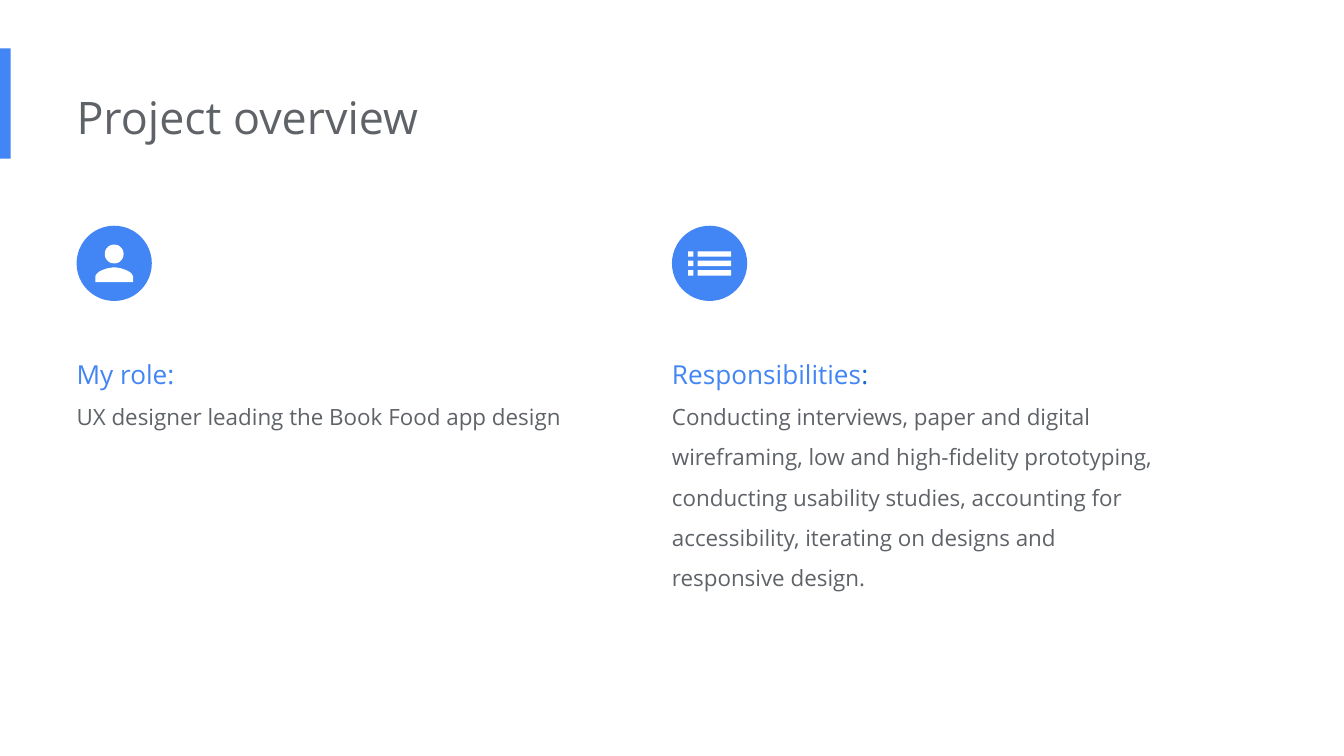
"""Build the project overview slide with two icon-topped columns."""
from math import cos, sin, tau

from pptx import Presentation
from pptx.dml.color import RGBColor
from pptx.enum.shapes import MSO_SHAPE
from pptx.util import Inches, Pt

RECTANGLE, OVAL = MSO_SHAPE.RECTANGLE, MSO_SHAPE.OVAL
COLORS = {"blue": "4285F4", "dark_blue": "1967D2", "gray": "5F6368", "white": "FFFFFF"}
FONT = "Open Sans"
WIDTH = 10
HEIGHT = WIDTH * 9 / 16
MARGIN, COLUMN_WIDTH = 0.57, 3.77
COLUMN_STEP = WIDTH / 2 - MARGIN
BADGE_TOP, BADGE_SIZE, BODY_TOP = 1.68, 0.56, 2.45
UNITS_PER_INCH = 1000

TITLE = "Project overview"
COLUMNS = [
    {
        "icon": "person",
        "heading": [("My role:", "blue")],
        "body": "UX designer leading the Book Food app design",
        "height": 0.86,
    },
    {
        "icon": "list",
        "heading": [("Responsibilities", "blue"), (":", "dark_blue")],
        "body": "Conducting interviews, paper and digital wireframing, low and "
                "high-fidelity prototyping, conducting usability studies, accounting "
                "for accessibility, iterating on designs and responsive design.",
        "height": 1.97,
    },
]


def color(name):
    return RGBColor.from_string(COLORS[name])


def paint(shape, fill):
    shape.shadow.inherit = False
    shape.fill.solid()
    shape.fill.fore_color.rgb = color(fill)
    shape.line.fill.background()


def add_block(slide, kind, left, top, width, height):
    block = slide.shapes.add_shape(
        kind, Inches(left), Inches(top), Inches(width), Inches(height))
    paint(block, "blue")


def add_text(slide, paragraphs, *, left, top, width, height, spacing=None):
    box = slide.shapes.add_textbox(
        Inches(left), Inches(top), Inches(width), Inches(height))
    frame = box.text_frame
    frame.word_wrap = True
    frame.margin_left = 0
    frame.margin_top = frame.margin_right = frame.margin_bottom = Inches(0.1)
    for index, (size, pieces) in enumerate(paragraphs):
        paragraph = frame.add_paragraph() if index else frame.paragraphs[0]
        paragraph.line_spacing = spacing
        for words, ink in pieces:
            run = paragraph.add_run()
            run.text = words
            run.font.name = FONT
            run.font.size = Pt(size)
            run.font.color.rgb = color(ink)


def person_outlines():
    head = [(0.07 * cos(tau * i / 48), -0.07 + 0.07 * sin(tau * i / 48))
            for i in range(48)]
    shoulder = []
    for i in range(17):
        t = i / 16
        u = 1 - t
        shoulder.append((3 * u * u * t * 0.05 + (3 * u * t * t + t ** 3) * 0.14,
                         (u ** 3 + 3 * u * u * t) * 0.03
                         + 3 * u * t * t * 0.06 + t ** 3 * 0.1))
    left_shoulder = [(-x, y) for x, y in reversed(shoulder[1:])]
    return [head, left_shoulder + shoulder + [(0.14, 0.14), (-0.14, 0.14)]]


def list_outlines():
    outlines = []
    for row in (-1, 0, 1):
        top = row * 0.07 - 0.02
        for left, right in ((-0.16, -0.12), (-0.09, 0.16)):
            outlines.append([(left, top), (right, top),
                             (right, top + 0.04), (left, top + 0.04)])
    return outlines


def add_icon(slide, outlines, center_x, center_y):
    placed = [[((center_x + x) * UNITS_PER_INCH, (center_y + y) * UNITS_PER_INCH)
               for x, y in outline] for outline in outlines]
    builder = slide.shapes.build_freeform(
        *placed[0][0], scale=Inches(1) / UNITS_PER_INCH)
    for index, outline in enumerate(placed):
        if index:
            builder.move_to(*outline[0])
        builder.add_line_segments(outline[1:], close=True)
    paint(builder.convert_to_shape(), "white")


def main():
    deck = Presentation()
    deck.slide_width, deck.slide_height = Inches(WIDTH), Inches(HEIGHT)
    slide = deck.slides.add_slide(deck.slide_layouts[6])
    icons = {"person": person_outlines(), "list": list_outlines()}

    add_block(slide, RECTANGLE, 0, 0.36, 0.08, 0.82)
    add_text(slide, [(24, [(TITLE, "gray")])],
             left=MARGIN, top=0.57, width=6.73, height=0.61)
    for index, column in enumerate(COLUMNS):
        left = MARGIN + index * COLUMN_STEP
        add_text(slide, [(14, column["heading"]), (12, [(column["body"], "gray")])],
                 left=left, top=BODY_TOP, width=COLUMN_WIDTH,
                 height=column["height"], spacing=1.5)
        add_block(slide, OVAL, left, BADGE_TOP, BADGE_SIZE, BADGE_SIZE)
        add_icon(slide, icons[column["icon"]],
                 left + BADGE_SIZE / 2, BADGE_TOP + BADGE_SIZE / 2)
    deck.save("out.pptx")


if __name__ == "__main__":
    main()
